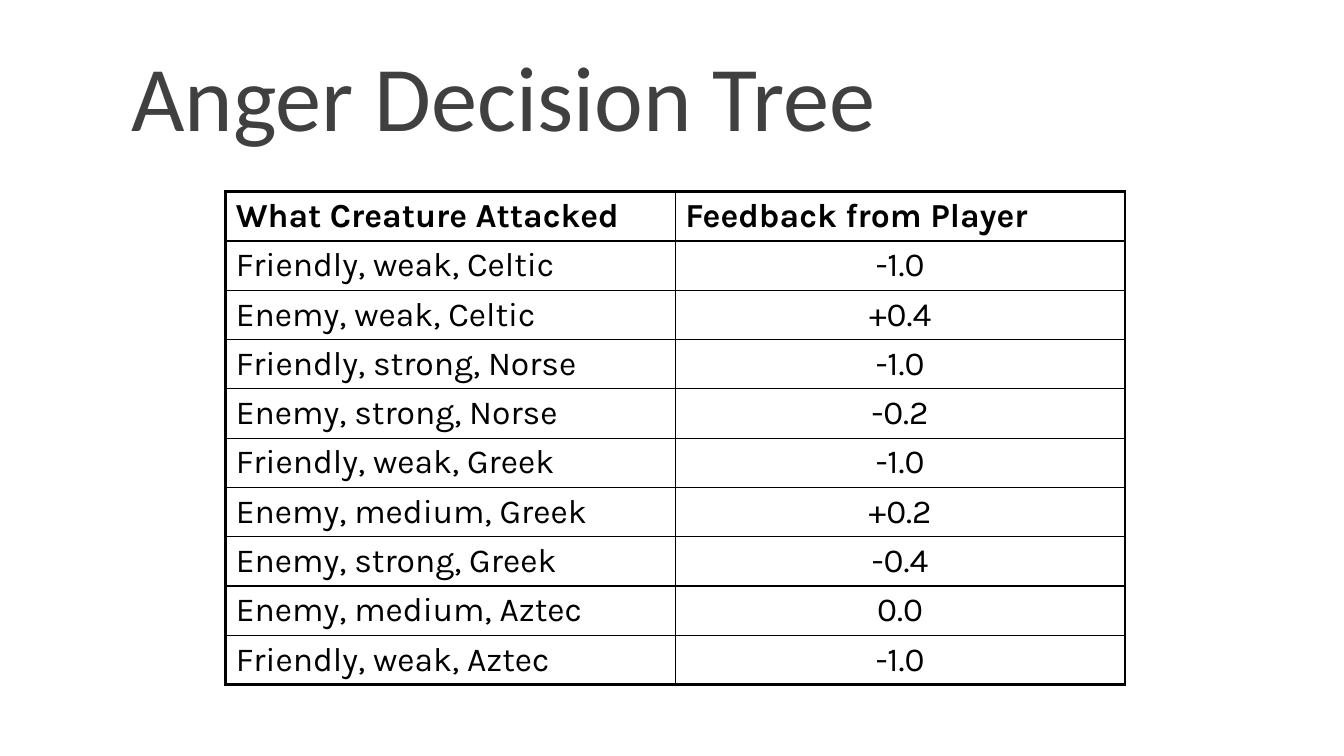
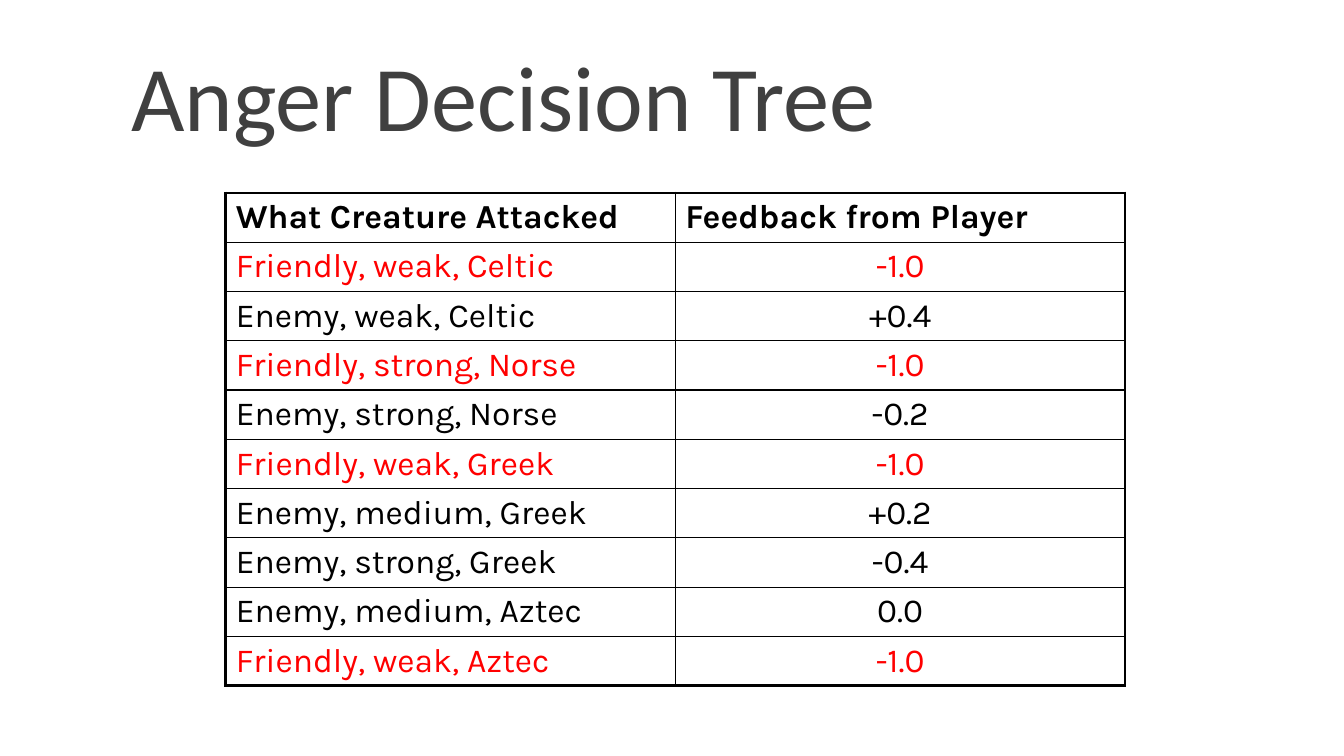
from dataclasses import dataclass

from lxml.etree import SubElement
from pptx import Presentation
from pptx.dml.color import RGBColor
from pptx.enum.text import MSO_ANCHOR, MSO_AUTO_SIZE, PP_ALIGN
from pptx.oxml.ns import qn
from pptx.slide import Slide
from pptx.table import _Cell
from pptx.text.text import _Paragraph
from pptx.util import Cm, Pt

BLACK = "000000"
GRAY = "404040"
RED = "FF0000"
THIN, THICK = 1, 2.25
LEFT, COL, ROW = 5.69, 11.33, 1.24
TITLE = "Anger Decision Tree"
HEADS = ("What Creature Attacked", "Feedback from Player")


@dataclass(frozen=True)
class Attack:
    side: str
    power: str
    tribe: str
    score: str

    @property
    def label(self) -> str:
        return f"{self.side}, {self.power}, {self.tribe}"


@dataclass(frozen=True)
class Page:
    top: float
    friend: str  # text colour of attacks on friendly creatures


ATTACKS = (
    Attack("Friendly", "weak", "Celtic", "-1.0"),
    Attack("Enemy", "weak", "Celtic", "+0.4"),
    Attack("Friendly", "strong", "Norse", "-1.0"),
    Attack("Enemy", "strong", "Norse", "-0.2"),
    Attack("Friendly", "weak", "Greek", "-1.0"),
    Attack("Enemy", "medium", "Greek", "+0.2"),
    Attack("Enemy", "strong", "Greek", "-0.4"),
    Attack("Enemy", "medium", "Aztec", "0.0"),
    Attack("Friendly", "weak", "Aztec", "-1.0"),
)
PAGES = (Page(4.83, BLACK), Page(4.86, RED))


def style(para: _Paragraph, face: str, size: float, color: str, bold: bool = False) -> None:
    font = para.font
    font.name, font.size, font.bold = face, Pt(size), bold
    font.color.rgb = RGBColor.from_string(color)


def add_title(slide: Slide) -> None:
    title = slide.shapes.title
    title.left, title.top = Cm(3.05), Cm(0.79)
    title.width, title.height = Cm(27.94), Cm(3.56)
    frame = title.text_frame
    frame.text = TITLE
    frame.auto_size = MSO_AUTO_SIZE.NONE
    frame.vertical_anchor = MSO_ANCHOR.MIDDLE
    para = frame.paragraphs[0]
    para.alignment, para.line_spacing = PP_ALIGN.LEFT, 0.9
    style(para, "Calibri", 66, GRAY)


def add_edges(cell: _Cell, outer: dict[str, bool]) -> None:
    """Draw the four borders, thick where the side lies on the table's rim."""
    props = cell._tc.get_or_add_tcPr()
    for side, rim in outer.items():
        width = Pt(THICK if rim else THIN)
        line = SubElement(props, qn(f"a:ln{side}"), w=str(width))
        fill = SubElement(line, qn("a:solidFill"))
        SubElement(fill, qn("a:srgbClr"), val=BLACK)


def add_grid(slide: Slide, page: Page) -> None:
    rows = [HEADS] + [(hit.label, hit.score) for hit in ATTACKS]
    colors = [BLACK] + [page.friend if hit.side == "Friendly" else BLACK for hit in ATTACKS]
    count, wide = len(rows), len(HEADS)
    table = slide.shapes.add_table(
        count, wide, Cm(LEFT), Cm(page.top), Cm(COL * wide), Cm(ROW * count)
    ).table
    table.first_row = table.horz_banding = False
    for row, (texts, color) in enumerate(zip(rows, colors)):
        table.rows[row].height = Cm(ROW)
        for col, text in enumerate(texts):
            cell = table.cell(row, col)
            cell.text = text
            para = cell.text_frame.paragraphs[0]
            para.alignment = PP_ALIGN.CENTER if row and col else PP_ALIGN.LEFT
            style(para, "Karla", 24, color, bold=row == 0)
            add_edges(cell, {
                "L": col == 0, "R": col == wide - 1,
                "T": row == 0, "B": row == count - 1,
            })
            cell.fill.background()


def main() -> None:
    deck = Presentation()
    deck.slide_width, deck.slide_height = Cm(33.87), Cm(19.05)
    layout = deck.slide_layouts.get_by_name("Title Only")
    for page in PAGES:
        slide = deck.slides.add_slide(layout)
        add_title(slide)
        add_grid(slide, page)
    deck.save("out.pptx")


if __name__ == "__main__":
    main()
